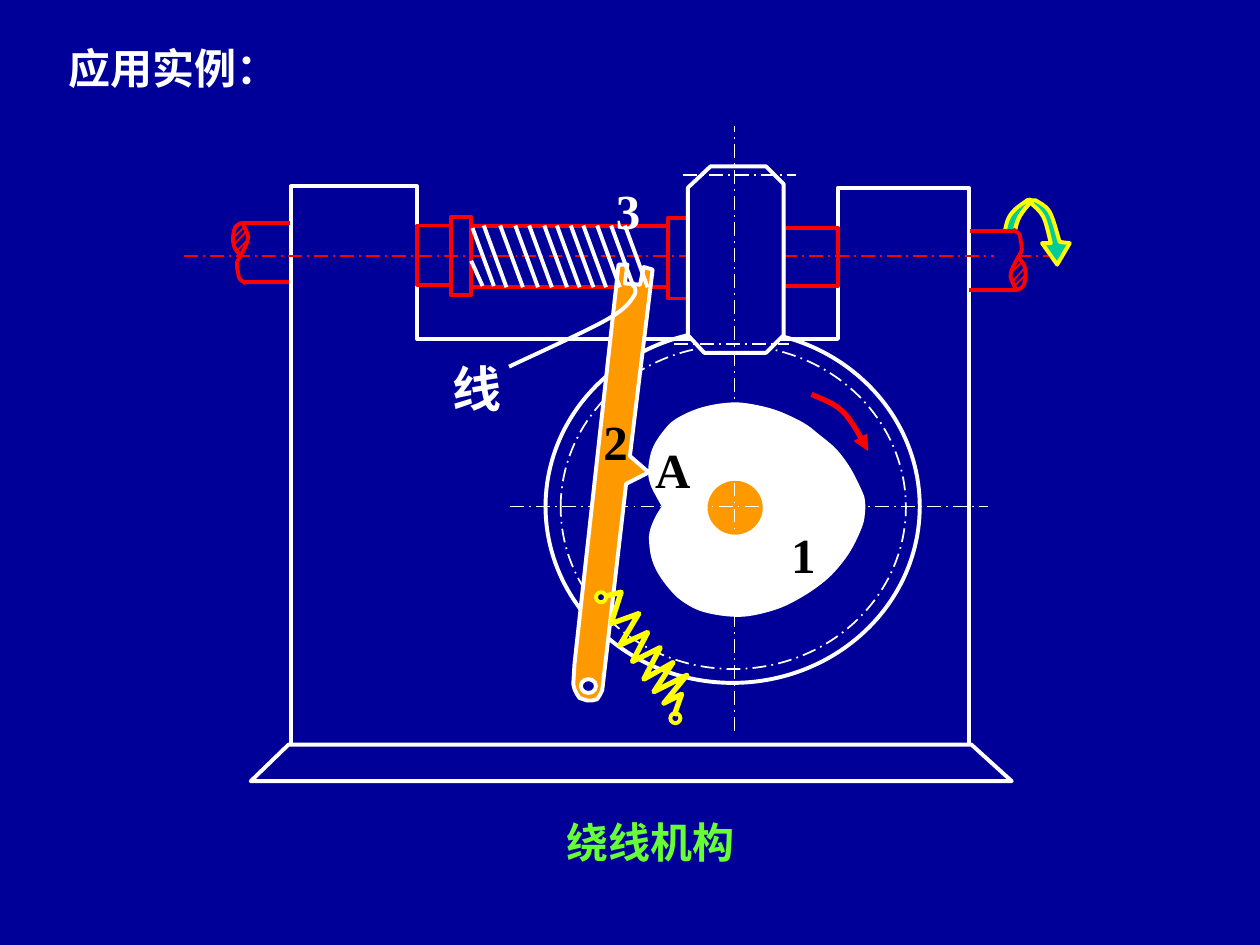
from dataclasses import dataclass

from pptx import Presentation
from pptx import util as u
from pptx.dml import color as col
from pptx.enum import dml, shapes, text
from pptx.oxml import ns, xmlchemy


@dataclass(frozen=True)
class Theme:
    navy: str = "000099"
    white: str = "FFFFFF"
    black: str = "000000"
    red: str = "FF0000"
    orange: str = "FF9900"
    yellow: str = "FFFF00"
    teal: str = "00CC99"
    green: str = "66FF33"
    font: str = "Times New Roman"
    heading: int = 24
    label: int = 28
    thin: float = 1
    normal: float = 2.25
    thick: float = 3


@dataclass(frozen=True)
class Box:
    left: float
    top: float
    width: float
    height: float

    def at(self, point):
        return u.Inches(self.left + point[0]), u.Inches(self.top + point[1])

    def area(self, left, top, width, height):
        return *self.at((left, top)), u.Inches(width), u.Inches(height)


THEME = Theme()
RECT = shapes.MSO_SHAPE.RECTANGLE
OVAL = shapes.MSO_SHAPE.OVAL


def rgb(value):
    return col.RGBColor.from_string(value)


def bend(shape, runs):
    outline = next(shape._element.iter(ns.qn("a:path")))
    marks = list(outline.iter(ns.qn("a:pt")))
    points = [(int(mark.get("x")), int(mark.get("y"))) for mark in marks]
    for first, last in runs:
        for k in range(first, last):
            before, start = points[max(k - 1, first)], points[k]
            end, after = points[k + 1], points[min(k + 2, last)]
            curve = xmlchemy.OxmlElement("a:cubicBezTo")
            lead = [s + (e - b) / 6 for s, e, b in zip(start, end, before)]
            follow = [e - (a - s) / 6 for s, e, a in zip(start, end, after)]
            for x, y in (lead, follow, end):
                mark = xmlchemy.OxmlElement("a:pt")
                mark.set("x", str(round(x)))
                mark.set("y", str(round(y)))
                curve.append(mark)
            segment = marks[k + 1].getparent()
            outline.replace(segment, curve)


def stroke(line, color, weight, dashed=False):
    line.color.rgb = rgb(color)
    line.width = u.Pt(weight)
    if dashed:
        line.dash_style = dml.MSO_LINE.LONG_DASH_DOT


def paint(shape, color, weight, fill=None, dashed=False):
    shape.shadow.inherit = False
    if fill:
        shape.fill.solid()
        shape.fill.fore_color.rgb = rgb(fill)
    else:
        shape.fill.background()
    if color:
        stroke(shape.line, color, weight, dashed)
    else:
        shape.line.fill.background()
    return shape


def draw_shape(page, box, kind, area, color=None, weight=THEME.normal, **style):
    return paint(page.shapes.add_shape(kind, *box.area(*area)), color, weight, **style)


def draw_outline(page, box, points, color, weight=THEME.normal, closed=True, runs=(), **style):
    start, *rest = [box.at(point) for point in points]
    builder = page.shapes.build_freeform(*start, scale=1)
    builder.add_line_segments(rest, close=closed)
    shape = builder.convert_to_shape()
    bend(shape, runs)
    return paint(shape, color, weight, **style)


def draw_curve(page, box, points, color, weight=THEME.normal, closed=False, **style):
    return draw_outline(page, box, points, color, weight, closed, [(0, len(points) - 1)], **style)


def draw_line(page, box, start, end, color, weight=THEME.normal, dashed=False):
    line = page.shapes.add_connector(
        shapes.MSO_CONNECTOR.STRAIGHT, *box.at(start), *box.at(end))
    stroke(line.line, color, weight, dashed)
    line._element.spPr.append(xmlchemy.OxmlElement("a:effectLst"))


def write(shape, words, color, size, align=text.PP_ALIGN.CENTER, wrap=False):
    frame = shape.text_frame
    frame.word_wrap = wrap
    frame.auto_size = text.MSO_AUTO_SIZE.NONE
    frame.vertical_anchor = text.MSO_ANCHOR.TOP
    para = frame.paragraphs[0]
    para.alignment = align
    span = para.add_run()
    span.text = words
    span.font.name, span.font.size, span.font.bold = THEME.font, u.Pt(size), True
    span.font.color.rgb = rgb(color)


def add_label(page, box, words, area, color=THEME.black, size=THEME.label):
    write(page.shapes.add_textbox(*box.area(*area)), words, color, size)


def add_title(page, box, words):
    title = page.shapes.title
    title.left, title.top, title.width, title.height = box.area(0, 0, box.width, box.height)
    write(title, words, THEME.white, THEME.heading, align=text.PP_ALIGN.LEFT, wrap=True)


def add_base(page, box):
    foot = [(0, 4.72), (6.04, 4.72), (5.72, 4.43), (0.3, 4.43)]
    wall = [(0.32, 4.42), (0.32, 0), (1.32, 0), (1.32, 1.21),
            (4.66, 1.21), (4.66, 0.01), (5.7, 0.01), (5.7, 4.43)]
    draw_outline(page, box, foot, THEME.white)
    draw_outline(page, box, wall, THEME.white, closed=False)


def add_wheel(page, box):
    arrow = draw_curve(page, box, [(2.11, 0.51), (2.3, 0.6), (2.42, 0.72), (2.56, 0.96)],
                       THEME.red, THEME.thick)
    tail = xmlchemy.OxmlElement("a:tailEnd")
    tail.set("type", "triangle")
    arrow._element.spPr.find(ns.qn("a:ln")).append(tail)
    draw_shape(page, box, OVAL, (0, 0, box.width, box.height), THEME.white)
    draw_shape(page, box, OVAL, (0.12, 0.12, 2.74, 2.57), THEME.white, THEME.thin, dashed=True)


def add_shaft(page, box):
    draw_line(page, box, (0, 0.31), (box.width, 0.31), THEME.red, THEME.thin, dashed=True)
    sections = [(3.84, 0.01, 0.16, 0.64), (4.76, 0.09, 0.43, 0.46), (2.12, 0, 0.16, 0.62),
                (1.85, 0.07, 0.27, 0.47), (2.28, 0.07, 1.56, 0.49)]
    for area in sections:
        draw_shape(page, box, RECT, area, THEME.red)


def add_shaft_end(page, box, flipped=False):
    def place(point):
        return (box.width - point[0], box.height - point[1]) if flipped else point

    edge = [(0.11, 0.48), (0.06, 0.44), (0.05, 0.39), (0.04, 0.32), (0.08, 0.24),
            (0.11, 0.18), (0.13, 0.11), (0.1, 0.03), (0.08, 0), (0.03, 0.03),
            (0.01, 0.11), (0.02, 0.19), (0.07, 0.26)]
    draw_curve(page, box, [place(point) for point in edge], THEME.red)
    for start, end in [((0.1, 0.47), (0.45, 0.47)), ((0.08, 0), (0.46, 0))]:
        draw_line(page, box, place(start), place(end), THEME.red)
    hatching = [((0.1, 0.03), (0.01, 0.12)), ((0.11, 0.07), (0.02, 0.17)), ((0.12, 0.14), (0.03, 0.23))]
    for start, end in hatching:
        draw_line(page, box, place(start), place(end), THEME.red, THEME.thin)


def add_turn_arrow(page, box):
    fold = [(0.24, 0.01), (0.13, 0.18), (0.08, 0.52)]
    ribbon = [(0, 0.51), (0.06, 0.15), (0.21, 0), (0.28, 0), (0.39, 0.09), (0.47, 0.33),
              (0.55, 0.34), (0.45, 0.51), (0.33, 0.34), (0.4, 0.34), (0.34, 0.13), (0.24, 0.02)]
    runs = [(0, 2), (3, 5), (9, 11), (12, 14)]
    draw_outline(page, box, ribbon + fold, THEME.yellow, fill=THEME.teal, runs=runs)
    draw_curve(page, box, [(0.21, 0), *fold], THEME.yellow)
    draw_shape(page, box, RECT, (-0.05, 0.25, 0.2, 0.43), fill=THEME.navy)


def add_worm(page, box):
    add_label(page, box, "3", (-0.67, 0.06, 0.39, 0.57), THEME.white)
    body = [(0.18, 0), (0.62, 0), (0.76, 0.14), (0.76, 1.34),
            (0.62, 1.48), (0.13, 1.48), (0, 1.34), (0, 0.17)]
    draw_outline(page, box, body, THEME.white, fill=THEME.navy)
    for left, right, y in [(-0.04, 0.86, 0.07), (-0.11, 0.8, 1.41)]:
        draw_line(page, box, (left, y), (right, y), THEME.white, THEME.thin, dashed=True)


def add_cam(page, box):
    profile = [(0.11, 0.81), (0.06, 0.72), (0.02, 0.64), (0, 0.55), (0.01, 0.44), (0.04, 0.34),
               (0.11, 0.23), (0.21, 0.13), (0.41, 0.04), (0.65, 0), (0.84, 0.02), (1.02, 0.07),
               (1.21, 0.16), (1.33, 0.25), (1.47, 0.37), (1.58, 0.52), (1.67, 0.7), (1.69, 0.77),
               (1.69, 0.85), (1.67, 0.96), (1.58, 1.15), (1.46, 1.31), (1.34, 1.42), (1.19, 1.52),
               (1.03, 1.6), (0.86, 1.65), (0.72, 1.67), (0.56, 1.66), (0.39, 1.62), (0.25, 1.54),
               (0.16, 1.45), (0.08, 1.34), (0.03, 1.23), (0.01, 1.12), (0.01, 1.02), (0.05, 0.91),
               (0.11, 0.81)]
    draw_curve(page, box, profile, THEME.white, closed=True, fill=THEME.white)
    draw_shape(page, box, OVAL, (0.44, 0.59, 0.47, 0.46), THEME.white, fill=THEME.orange)
    add_label(page, box, "1", (1.02, 0.9, 0.39, 0.57))
    for start, end in [((-1.11, 0.81), (2.68, 0.81)), ((0.67, 2.59), (0.67, -2.21))]:
        draw_line(page, box, start, end, THEME.white, THEME.thin, dashed=True)


def add_lever(page, box):
    body = [(0.01, 3.17), (0.36, 0), (0.43, 0), (0.41, 0.15), (0.53, 0.16), (0.56, 0.02),
            (0.63, 0.04), (0.45, 1.52), (0.6, 1.65), (0.42, 1.74), (0.25, 3.21), (0.23, 3.38),
            (0.21, 3.42), (0.19, 3.45), (0.15, 3.46), (0.11, 3.46), (0.05, 3.44), (0.03, 3.41),
            (0.01, 3.37), (0, 3.33)]
    spring = [(0.18, 2.65), (0.38, 2.6), (0.3, 2.85), (0.52, 2.77), (0.37, 3.02), (0.59, 2.92),
              (0.47, 3.15), (0.69, 3.04), (0.56, 3.29), (0.79, 3.16), (0.64, 3.39), (0.9, 3.26),
              (0.72, 3.48), (0.86, 3.41), (0.8, 3.58)]
    draw_outline(page, box, body, THEME.white, fill=THEME.orange)
    draw_shape(page, box, OVAL, (0.06, 3.29, 0.12, 0.11), THEME.white, fill=THEME.navy)
    draw_shape(page, box, OVAL, (0.77, 3.56, 0.08, 0.08), THEME.yellow, fill=THEME.navy)
    draw_outline(page, box, spring, THEME.yellow, THEME.thick, closed=False)
    draw_shape(page, box, OVAL, (0.18, 2.6, 0.08, 0.08), THEME.yellow, fill=THEME.navy)
    add_label(page, box, "2", (0.14, 1.12, 0.39, 0.57))
    add_label(page, box, "A", (0.55, 1.34, 0.48, 0.57))


def add_winding(page, box):
    starts = [0.1, 0.23, 0.35, 0.46, 0.58, 0.68, 0.79, 0.89, 1, 1.11, 1.22]
    turns = [((0, 0.29), (0.09, 0.49)), ((0.01, 0.03), (0.18, 0.49))]
    turns += [((x, 0.01), (x + 0.18, 0.5)) for x in starts]
    for start, end in turns:
        draw_line(page, box, start, end, THEME.white)
    add_label(page, box, "线", (-0.25, 1.02, 0.59, 0.57), THEME.white)
    thread = [(1.28, 0.46), (1.29, 0.57), (1.07, 0.76), (0.3, 1.13)]
    draw_curve(page, box, thread, THEME.white)


def main():
    deck = Presentation()
    deck.slide_width, deck.slide_height = u.Inches(10), u.Inches(7.5)
    page = deck.slides.add_slide(deck.slide_layouts[5])
    page.background.fill.solid()
    page.background.fill.fore_color.rgb = rgb(THEME.navy)
    add_title(page, Box(0.44, 0.29, 1.9, 0.5), "应用实例：")
    add_base(page, Box(1.99, 1.48, 6.04, 4.72))
    add_label(page, Box(4.4, 6.43, 1.53, 0.5), "绕线机构", (0, 0, 1.53, 0.5), THEME.green, THEME.heading)
    add_wheel(page, Box(4.33, 2.62, 2.97, 2.8))
    add_shaft(page, Box(1.46, 1.72, 6.95, 0.65))
    add_shaft_end(page, Box(1.84, 1.77, 0.46, 0.48))
    add_turn_arrow(page, Box(7.94, 1.59, 0.56, 0.52))
    add_shaft_end(page, Box(7.69, 1.82, 0.46, 0.48), flipped=True)
    add_worm(page, Box(5.46, 1.32, 0.76, 1.48))
    add_cam(page, Box(5.16, 3.21, 1.7, 1.67))
    add_lever(page, Box(4.55, 2.1, 0.63, 3.46))
    add_winding(page, Box(3.74, 1.78, 1.4, 0.5))
    deck.save("out.pptx")


if __name__ == "__main__":
    main()
